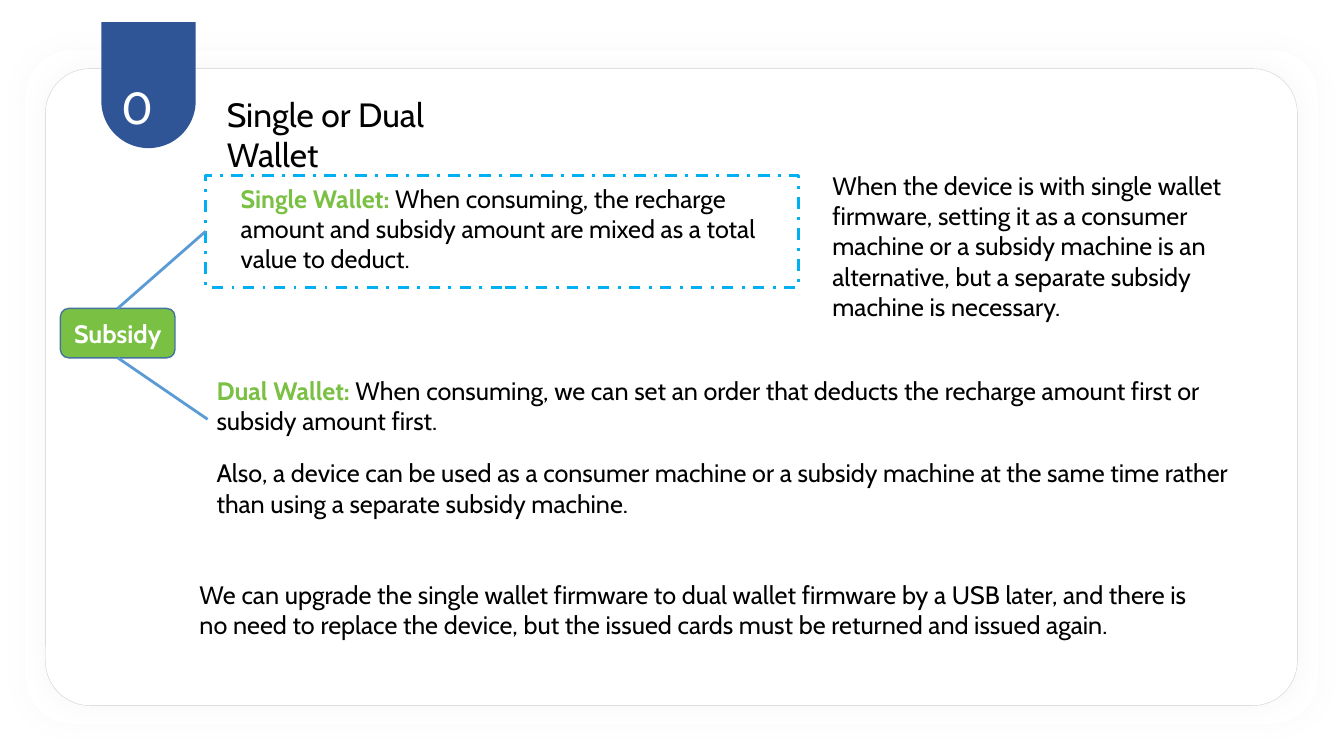
import pptx
import pptx.util
import pptx.dml.color
import pptx.enum.dml
import pptx.enum.shapes
import pptx.enum.text
import pptx.oxml
import pptx.oxml.ns

Pt = pptx.util.Pt
SHAPE = pptx.enum.shapes.MSO_SHAPE
ANCHOR = pptx.enum.text.MSO_ANCHOR
ALIGN = pptx.enum.text.PP_ALIGN
FONT = "Cabin"
COLORS = {
    "white": "FFFFFF",
    "black": "000000",
    "halo": "D0CECE",
    "edge_shadow": "AFABAB",
    "badge": "2F5597",
    "green": "7AC143",
    "green_edge": "43739E",
    "frame": "00B0F0",
    "branch": "5B9BD5",
}


def rgb(name):
    return pptx.dml.color.RGBColor.from_string(COLORS[name])


def add_effects(shape, glow=None):
    shadow = ""
    if glow:
        shadow = (
            f'<a:outerShdw blurRad="{Pt(15)}" dist="0" dir="0" algn="ctr" rotWithShape="0">'
            f'<a:srgbClr val="{COLORS[glow]}"><a:alpha val="10000"/></a:srgbClr></a:outerShdw>'
        )
    ns = pptx.oxml.ns.nsdecls("a")
    xml = f"<a:effectLst {ns}>{shadow}</a:effectLst>"
    shape.element.spPr.append(pptx.oxml.parse_xml(xml))


def add_box(s, box, kind, fill=None, line=None, width=1, glow=None):
    sp = s.shapes.add_shape(kind, *map(Pt, box))
    if fill:
        sp.fill.solid()
        sp.fill.fore_color.rgb = rgb(fill)
    else:
        sp.fill.background()
    if line:
        sp.line.color.rgb = rgb(line)
        sp.line.width = Pt(width)
    else:
        sp.line.fill.background()
    add_effects(sp, glow)
    return sp


def write(sp, runs, size=18, align=ALIGN.LEFT, anchor=ANCHOR.TOP):
    tf = sp.text_frame
    tf.word_wrap = True
    tf.auto_size = pptx.enum.text.MSO_AUTO_SIZE.NONE
    tf.vertical_anchor = anchor
    p = tf.paragraphs[0]
    p.alignment = align
    for text, color, bold in runs:
        r = p.add_run()
        r.text = text
        r.font.name = FONT
        r.font.size = Pt(size)
        r.font.bold = bold
        r.font.color.rgb = rgb(color)


def add_text(s, box, text, lead=None, size=18, color="black"):
    sp = s.shapes.add_textbox(*map(Pt, box))
    runs = [(lead, "green", True)] if lead else []
    write(sp, runs + [(text, color, False)], size)


def add_branch(s, node, site, end):
    x, y = map(Pt, end)
    line = s.shapes.add_connector(pptx.enum.shapes.MSO_CONNECTOR.STRAIGHT, x, y, x, y)
    line.begin_connect(node, site)
    line.line.color.rgb = rgb("branch")
    line.line.width = Pt(2)
    add_effects(line)
    return line


def add_panel(s, box):
    x, y, w, h = box
    halo = add_box(s, box, SHAPE.ROUNDED_RECTANGLE, "white", glow="halo")
    halo.adjustments[0] = 0.07
    card = add_box(s, (x + 14.4, y + 13, w - 29.5, h - 26), SHAPE.ROUNDED_RECTANGLE,
                   "white", "halo", 0.25, "edge_shadow")
    card.adjustments[0] = 0.07


def add_header(s, box):
    x, y, w, h = box
    title = s.shapes.title
    title.left, title.top, title.width, title.height = map(Pt, (x + 82.4, y + 47.5, w - 82.4, 36))
    write(title, [("Single or Dual Wallet", "black", False)], 24)
    title.element.getparent().append(title.element)
    badge = add_box(s, (x, y, 67.4, h), SHAPE.ROUND_2_SAME_RECTANGLE, "badge")
    badge.adjustments[0] = 0
    badge.adjustments[1] = 0.5
    add_text(s, (x + 7.5, y + 37.5, 45.4, 46), "0", size=32, color="white")


def add_wallets(s, box):
    x, y, w, h = box
    left, wide = x + 104.4, w - 104.4
    add_text(s, (x + 121.7, y + 9.4, 398.2, 72.7),
             "When consuming, the recharge amount and subsidy amount are mixed "
             "as a total value to deduct.", "Single Wallet: ")
    add_text(s, (left, y + 146.2, wide, 51),
             "When consuming, we can set an order that deducts the recharge amount "
             "first or subsidy amount first.", "Dual Wallet: ")
    frame = add_box(s, (x + 103.7, y + 7.3, 423.4, 79.9), SHAPE.RECTANGLE, line="frame", width=2)
    frame.line.dash_style = pptx.enum.dml.MSO_LINE.DASH_DOT
    add_text(s, (x + 544.3, y, w - 544.3, 116.6),
             "When the device is with single wallet firmware, setting it as a consumer "
             "machine or a subsidy machine is an alternative, but a separate subsidy "
             "machine is necessary.")
    add_text(s, (left, y + 205.3, wide, 51),
             "Also, a device can be used as a consumer machine or a subsidy machine "
             "at the same time rather than using a separate subsidy machine.")
    add_text(s, (x + 92.2, y + h - 51, 730.8, 51),
             "We can upgrade the single wallet firmware to dual wallet firmware by a USB "
             "later, and there is no need to replace the device, but the issued cards "
             "must be returned and issued again.")
    node = add_box(s, (x, y + 102.3, 81.8, 35.3), SHAPE.ROUNDED_RECTANGLE, "green", "green_edge")
    write(node, [("Subsidy", "white", True)], align=ALIGN.CENTER, anchor=ANCHOR.MIDDLE)
    node.text_frame.margin_left = node.text_frame.margin_right = Pt(3)
    add_branch(s, node, 0, (x + 103.7, y + 47.3)).end_connect(frame, 1)
    add_branch(s, node, 2, (x + 105.1, y + 181.5))


def main():
    prs = pptx.Presentation()
    prs.slide_width, prs.slide_height = Pt(960), Pt(540)
    s = prs.slides.add_slide(prs.slide_layouts[5])
    s.background.fill.solid()
    s.background.fill.fore_color.rgb = rgb("white")
    add_panel(s, (18, 36, 923.8, 481))
    add_header(s, (72.4, 15.8, 302.7, 90))
    add_wallets(s, (43.2, 118, 868.3, 343.4))
    prs.save("out.pptx")


if __name__ == "__main__":
    main()
